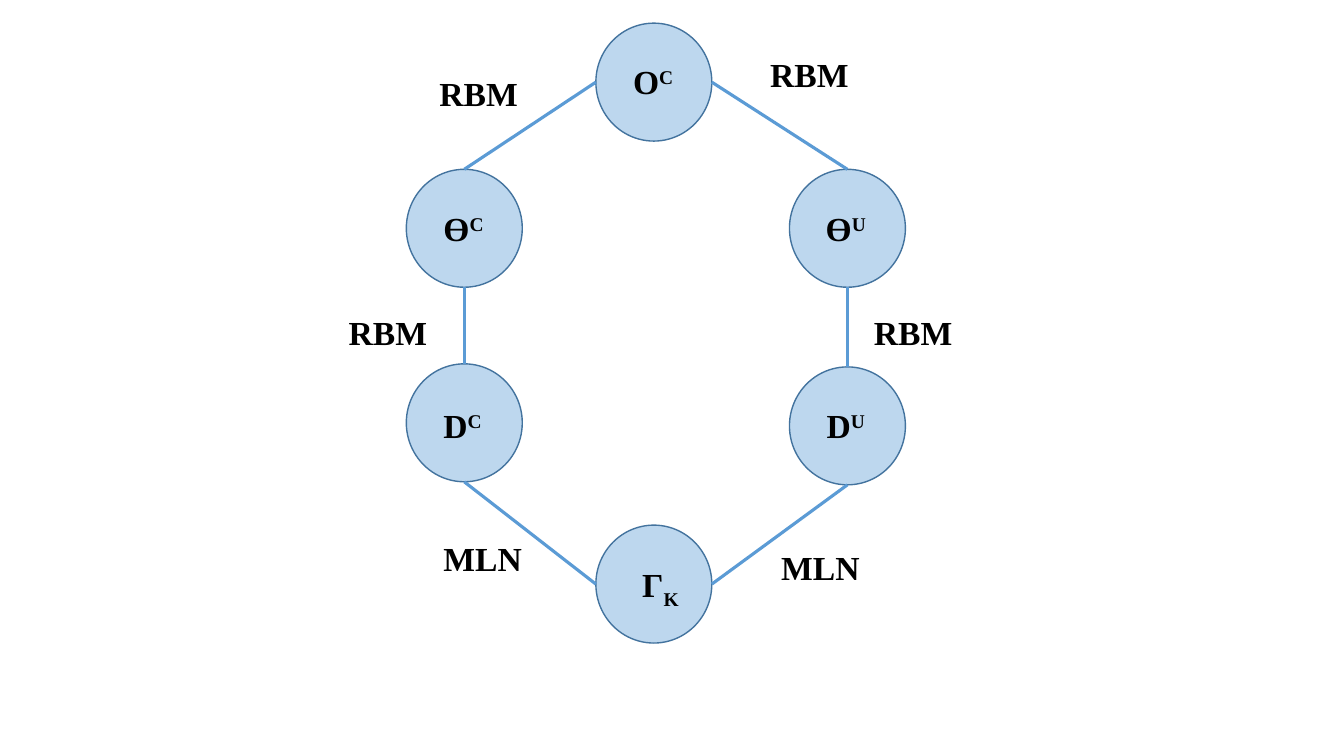
from dataclasses import dataclass

from lxml import etree
from pptx import Presentation
from pptx.dml.color import RGBColor
from pptx.enum.shapes import MSO_CONNECTOR, MSO_SHAPE
from pptx.enum.text import MSO_AUTO_SIZE, PP_ALIGN
from pptx.oxml.ns import qn
from pptx.util import Inches, Pt

OVAL = MSO_SHAPE.OVAL
STRAIGHT = MSO_CONNECTOR.STRAIGHT
LEFT, CENTER = PP_ALIGN.LEFT, PP_ALIGN.CENTER
GROW = MSO_AUTO_SIZE.SHAPE_TO_FIT_TEXT

NODE_WIDTH, NODE_HEIGHT = 1.15, 1.17
TEXT_HEIGHT = 0.5
LABEL_WIDTH = 1.33
SUPERSCRIPT, SUBSCRIPT = 30000, -25000


@dataclass(frozen=True)
class Theme:
    font: str = "Times New Roman"
    text_size: Pt = Pt(24)
    text: RGBColor = RGBColor(0x00, 0x00, 0x00)
    node_fill: RGBColor = RGBColor(0xBD, 0xD7, 0xEE)
    node_line: RGBColor = RGBColor(0x43, 0x73, 0x9E)
    node_line_width: Pt = Pt(1)
    edge: RGBColor = RGBColor(0x5B, 0x9B, 0xD5)
    edge_width: Pt = Pt(2.25)


class DiagramSlide:
    def __init__(self, slide, theme):
        self.slide = slide
        self.theme = theme

    def node(self, left, top):
        shape = self.slide.shapes.add_shape(
            OVAL, Inches(left), Inches(top), Inches(NODE_WIDTH), Inches(NODE_HEIGHT))
        shape.shadow.inherit = False
        shape.fill.solid()
        shape.fill.fore_color.rgb = self.theme.node_fill
        shape.line.color.rgb = self.theme.node_line
        shape.line.width = self.theme.node_line_width

    def edge(self, start, end):
        connector = self.slide.shapes.add_connector(
            STRAIGHT, *(Inches(value) for value in start + end))
        connector.line.color.rgb = self.theme.edge
        connector.line.width = self.theme.edge_width
        etree.SubElement(connector._element.spPr, qn("a:effectLst"))

    def text(self, left, top, width, runs, wrap=True, alignment=LEFT):
        """Each run is a pair of wording and baseline shift."""
        box = self.slide.shapes.add_textbox(
            Inches(left), Inches(top), Inches(width), Inches(TEXT_HEIGHT))
        frame = box.text_frame
        frame.word_wrap = wrap
        frame.auto_size = GROW
        paragraph = frame.paragraphs[0]
        paragraph.alignment = alignment
        font_format = {"name": self.theme.font, "size": self.theme.text_size, "bold": True}
        for wording, baseline in runs:
            run = paragraph.add_run()
            run.text = wording
            for name, value in font_format.items():
                setattr(run.font, name, value)
            run.font.color.rgb = self.theme.text
            if baseline:
                run._r.get_or_add_rPr().set("baseline", str(baseline))


def anchor(position, side):
    """Point on a node's outline, given its top left corner."""
    left, top = position
    across, down = {"top": (0.5, 0), "bottom": (0.5, 1),
                    "left": (0, 0.5), "right": (1, 0.5)}[side]
    return left + across * NODE_WIDTH, top + down * NODE_HEIGHT


# Left and top of each node
NODES = {
    "gamma": (5.91, 5.21),
    "d_c": (4.03, 3.61),
    "d_u": (7.83, 3.64),
    "theta_c": (4.03, 1.68),
    "theta_u": (7.83, 1.68),
    "o_c": (5.91, 0.23),
}

# Left, top and width of each symbol, then its letter and superscript
SYMBOLS = [
    (4.3, 3.97, 0.61, "D", "C"),
    (8.1, 3.97, 0.61, "D", "U"),
    (4.3, 2.01, 0.62, "Ө", "C"),
    (8.09, 2.01, 0.62, "Ө", "U"),
    (6.18, 0.56, 0.62, "O", "C"),
]

EDGES = [
    ("theta_c", "top", "o_c", "left"),
    ("theta_c", "bottom", "d_c", "top"),
    ("d_c", "bottom", "gamma", "left"),
    ("o_c", "right", "theta_u", "top"),
    ("theta_u", "bottom", "d_u", "top"),
    ("d_u", "bottom", "gamma", "right"),
]

EDGE_LABELS = [
    (4.3, 5.29, "MLN"),
    (7.65, 5.38, "MLN"),
    (3.36, 3.05, "RBM"),
    (8.57, 3.05, "RBM"),
    (4.26, 0.67, "RBM"),
    (7.54, 0.49, "RBM"),
]


def main():
    presentation = Presentation()
    presentation.slide_width = Inches(13.33)
    presentation.slide_height = Inches(7.5)
    slide = presentation.slides.add_slide(presentation.slide_layouts[6])
    diagram = DiagramSlide(slide, Theme())

    # Nodes
    for position in NODES.values():
        diagram.node(*position)

    # Symbols inside the nodes
    diagram.text(6.04, 5.55, 1.02, [("Γ", 0), ("K", SUBSCRIPT)], alignment=CENTER)
    for left, top, width, letter, index in SYMBOLS:
        diagram.text(left, top, width, [(letter, 0), (index, SUPERSCRIPT)], wrap=False)

    # Edges
    for source, source_side, target, target_side in EDGES:
        diagram.edge(anchor(NODES[source], source_side), anchor(NODES[target], target_side))

    # Edge labels
    for left, top, wording in EDGE_LABELS:
        diagram.text(left, top, LABEL_WIDTH, [(wording, 0)])

    presentation.save("out.pptx")


if __name__ == "__main__":
    main()
